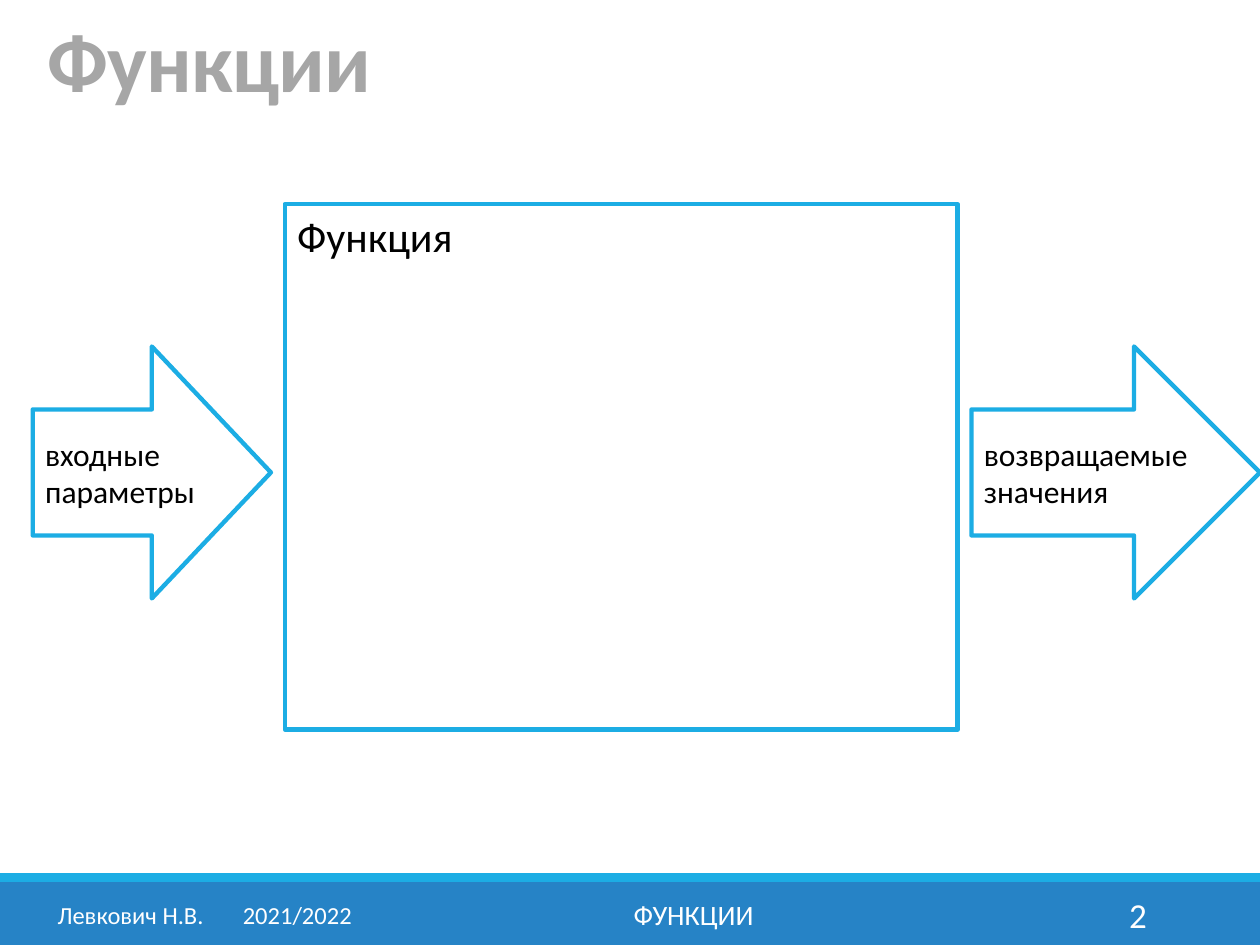
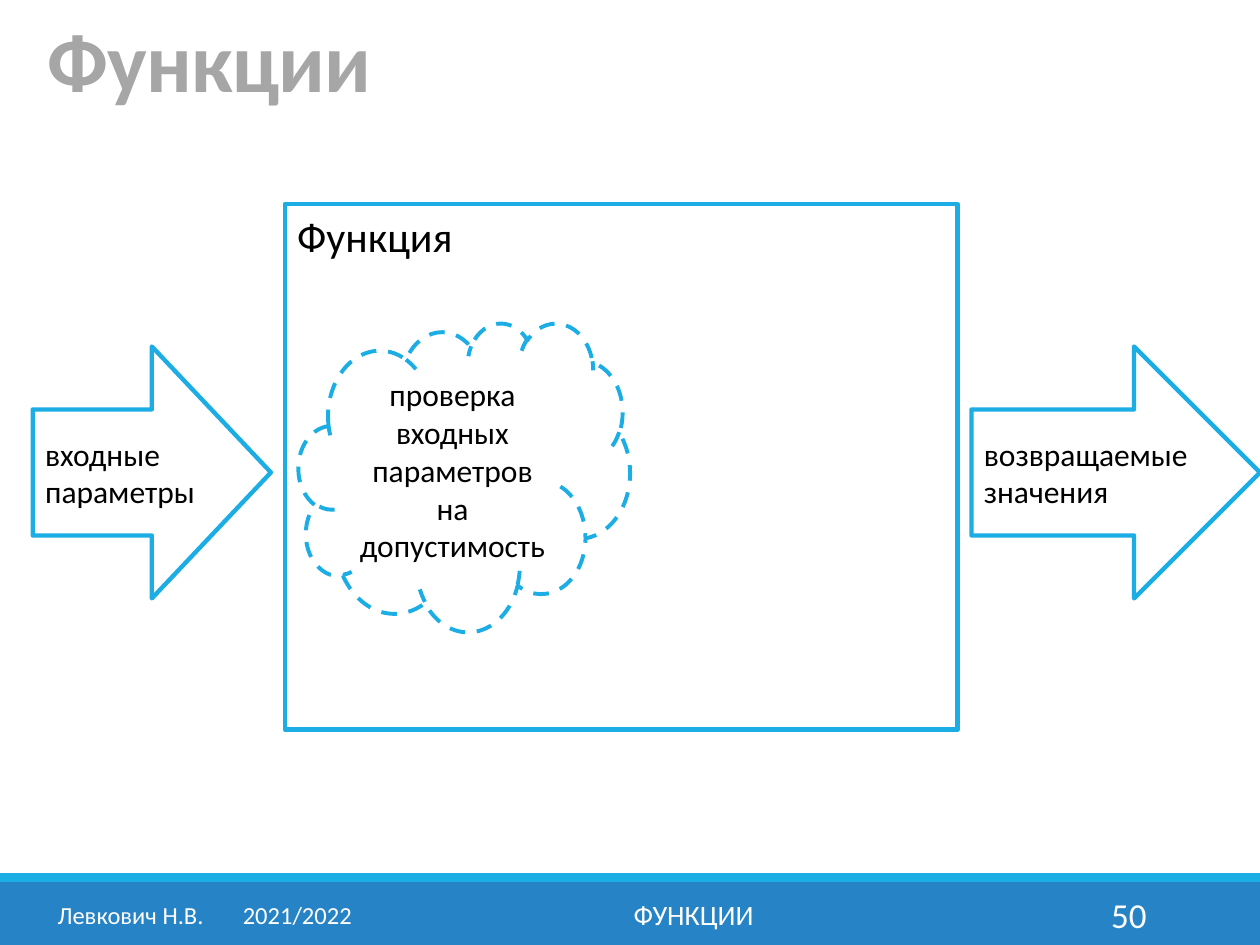
import pptx
import pptx.dml.color
import pptx.enum.dml
import pptx.enum.shapes
import pptx.enum.text
import pptx.util
from lxml import etree

ALIGN = pptx.enum.text.PP_ALIGN
ANCHOR = pptx.enum.text.MSO_ANCHOR
SHAPE = pptx.enum.shapes.MSO_SHAPE
DASH = pptx.enum.dml.MSO_LINE.DASH

WIDTH, HEIGHT = 10, 7.5
FONT = "Calibri"
ACCENT, BAND, TITLE_GRAY, BLACK, WHITE = "1CADE4", "2683C6", "A6A6A6", "000000", "FFFFFF"

TITLE = "Функции"
FUNCTION = "Функция"
INPUT = "входные параметры"
OUTPUT = "возвращаемые значения"
CHECK = "проверка входных параметров на допустимость"
SLIDES = [
    {"number": "2", "cloud": None},
    {"number": "50", "cloud": CHECK},
]

# Footer columns: left, width, text size, alignment, text (None: slide number)
FOOTER = [
    (0.32, 2.61, 14, ALIGN.CENTER, "Левкович Н.В.\t2021/2022"),
    (3.02, 4.97, 16, ALIGN.CENTER, TITLE.upper()),
    (8.12, 1.08, 20, ALIGN.RIGHT, None),
]
FOOTER_TAB = 1.47
BAND_TOP, STRIPE_HEIGHT = 7, 0.07

# Diagram: arrows lead into and out of the function box
BOX_LEFT, BOX_TOP, BOX_WIDTH, BOX_HEIGHT = 2.26, 1.62, 5.34, 4.17
BOX_RIGHT = BOX_LEFT + BOX_WIDTH
GAP = 0.11
ARROW_LEFT, ARROW_TOP, ARROW_HEIGHT = 0.26, 2.75, 2
CLOUD_TOP, CLOUD_WIDTH, CLOUD_HEIGHT = 2.56, 2.63, 2.45


def color(hex_string):
    return pptx.dml.color.RGBColor.from_string(hex_string)


def inches(*lengths):
    return [pptx.util.Inches(length) for length in lengths]


def write(shape, text, size=18, fill=BLACK, bold=False, align=ALIGN.LEFT,
          anchor=ANCHOR.MIDDLE, right_inset=0.1):
    frame = shape.text_frame
    frame.word_wrap = True
    frame.auto_size = pptx.enum.text.MSO_AUTO_SIZE.NONE
    frame.vertical_anchor = anchor
    frame.margin_right = pptx.util.Inches(right_inset)
    paragraph = frame.paragraphs[0]
    paragraph.alignment = align
    run = paragraph.add_run()
    run.text = text
    run.font.name = FONT
    run.font.size = pptx.util.Pt(size)
    run.font.bold = bold
    run.font.color.rgb = color(fill)
    return paragraph


def add_band(slide, top, height, fill):
    band = slide.shapes.add_shape(SHAPE.RECTANGLE, *inches(0, top, WIDTH, height))
    band.shadow.inherit = False
    band.fill.solid()
    band.fill.fore_color.rgb = color(fill)
    band.line.fill.background()


def add_outline(slide, kind, place, text, line_width=2.5, dash=None, **text_format):
    """Add an unfilled shape with an accent outline and text."""
    shape = slide.shapes.add_shape(kind, *inches(*place))
    shape.shadow.inherit = False
    shape.fill.background()
    shape.line.color.rgb = color(ACCENT)
    shape.line.width = pptx.util.Pt(line_width)
    if dash:
        shape.line.dash_style = dash
    write(shape, text, **text_format)


def add_tab_stop(paragraph, position):
    properties = paragraph._p.get_or_add_pPr()
    tab_list = etree.SubElement(properties, pptx.oxml.ns.qn("a:tabLst"))
    etree.SubElement(tab_list, pptx.oxml.ns.qn("a:tab"),
                     pos=str(pptx.util.Inches(position)), algn="l")


def add_footer(slide, number):
    add_band(slide, BAND_TOP, HEIGHT - BAND_TOP, BAND)
    add_band(slide, BAND_TOP - STRIPE_HEIGHT, STRIPE_HEIGHT, ACCENT)
    for left, width, size, align, text in FOOTER:
        box = slide.shapes.add_textbox(*inches(left, BAND_TOP + 0.06, width, 0.4))
        paragraph = write(box, text or number, size=size, fill=WHITE, align=align)
        if text and "\t" in text:
            add_tab_stop(paragraph, FOOTER_TAB)


def set_title(slide):
    title = slide.shapes.title
    title.left, title.top, title.width, title.height = inches(0.28, 0, 8.25, 0.92)
    paragraph = write(title, TITLE, size=48, fill=TITLE_GRAY, bold=True,
                      anchor=ANCHOR.BOTTOM)
    paragraph.line_spacing = 0.85
    paragraph.runs[0].font._element.set("spc", "-50")


def add_diagram(slide, cloud_text):
    output_left = BOX_RIGHT + GAP
    add_outline(slide, SHAPE.RECTANGLE, (BOX_LEFT, BOX_TOP, BOX_WIDTH, BOX_HEIGHT),
                FUNCTION, size=24, anchor=ANCHOR.TOP)
    add_outline(slide, SHAPE.RIGHT_ARROW,
                (ARROW_LEFT, ARROW_TOP, BOX_LEFT - GAP - ARROW_LEFT, ARROW_HEIGHT), INPUT)
    add_outline(slide, SHAPE.RIGHT_ARROW,
                (output_left, ARROW_TOP, WIDTH - output_left, ARROW_HEIGHT),
                OUTPUT, right_inset=0)
    if cloud_text:
        add_outline(slide, SHAPE.CLOUD,
                    (BOX_LEFT + GAP, CLOUD_TOP, CLOUD_WIDTH, CLOUD_HEIGHT),
                    cloud_text, line_width=2.25, dash=DASH, align=ALIGN.CENTER)


def main():
    presentation = pptx.Presentation()
    presentation.slide_width, presentation.slide_height = inches(WIDTH, HEIGHT)
    title_only = presentation.slide_layouts[5]
    for content in SLIDES:
        slide = presentation.slides.add_slide(title_only)
        add_footer(slide, content["number"])
        set_title(slide)
        add_diagram(slide, content["cloud"])
    presentation.save("out.pptx")


if __name__ == "__main__":
    main()
